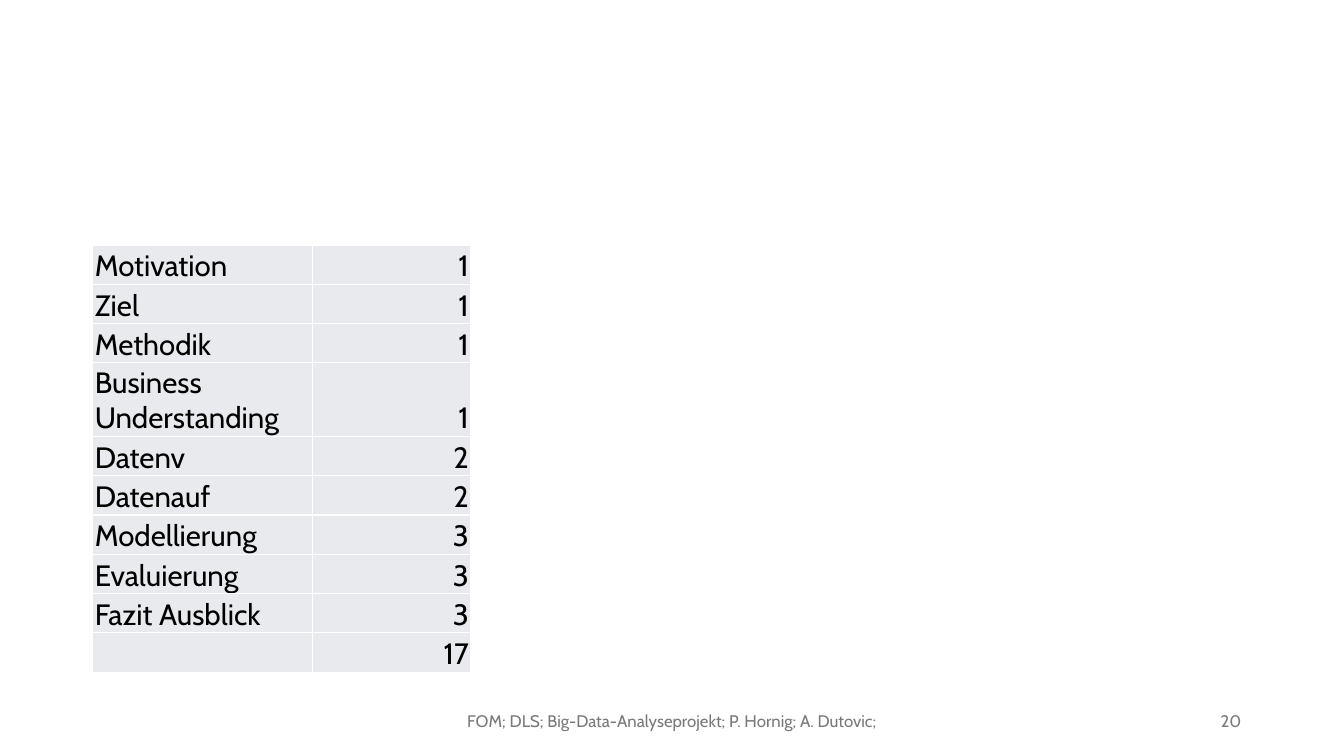
"""Build the slide that plans how many slides each project chapter gets."""
from lxml import etree
from pptx import Presentation
from pptx.dml.color import RGBColor
from pptx.enum.text import MSO_ANCHOR, PP_ALIGN
from pptx.oxml.ns import qn
from pptx.util import Inches, Pt

LEFT, CENTER, RIGHT = PP_ALIGN.LEFT, PP_ALIGN.CENTER, PP_ALIGN.RIGHT
BOTTOM, MIDDLE = MSO_ANCHOR.BOTTOM, MSO_ANCHOR.MIDDLE

BLACK = RGBColor(0x00, 0x00, 0x00)
WHITE = RGBColor(0xFF, 0xFF, 0xFF)
GREY = RGBColor(0x79, 0x79, 0x79)
CELL_GREY = RGBColor(0xE8, 0xEA, 0xED)

FONT = "Cabin"
SLIDE_WIDTH, SLIDE_HEIGHT = 13.33, 7.5
MARGIN = 0.92
TABLE_TOP = 2.43
COLUMN_WIDTHS = (2.18, 1.57)
ROW_HEIGHT = 0.39
CELL_INSET = 0.02
FOOTER_TOP, FOOTER_HEIGHT = 6.95, 0.4
FOOTER_WIDTH, NUMBER_WIDTH = 4.5, 3

CHAPTERS = (
    ("Motivation", 1),
    ("Ziel", 1),
    ("Methodik", 1),
    ("Business Understanding", 1),
    ("Datenv", 2),
    ("Datenauf", 2),
    ("Modellierung", 3),
    ("Evaluierung", 3),
    ("Fazit Ausblick", 3),
)


def write_text(text_frame, text, size, color, alignment):
    """Write one run into the first paragraph of a text frame."""
    paragraph = text_frame.paragraphs[0]
    paragraph.alignment = alignment
    run = paragraph.add_run()
    run.text = text
    run.font.name = FONT
    run.font.size = Pt(size)
    run.font.color.rgb = color


def add_borders(cell):
    """Draw a thin white line on each side of a table cell."""
    properties = cell._tc.get_or_add_tcPr()
    for side in ("a:lnL", "a:lnR", "a:lnT", "a:lnB"):
        line = etree.SubElement(properties, qn(side), w=str(Pt(1)))
        fill = etree.SubElement(line, qn("a:solidFill"))
        etree.SubElement(fill, qn("a:srgbClr"), val=str(WHITE))


def format_cell(cell):
    """Set the borders, fill, insets and anchor of a table cell."""
    add_borders(cell)
    cell.fill.solid()
    cell.fill.fore_color.rgb = CELL_GREY
    cell.margin_left = cell.margin_right = cell.margin_top = Inches(CELL_INSET)
    cell.margin_bottom = 0
    cell.vertical_anchor = BOTTOM


def add_chapter_table(slide):
    """Add the chapters with their slide counts and the total."""
    total = sum(count for _, count in CHAPTERS)
    rows = CHAPTERS + (("", total),)
    frame = slide.shapes.add_table(
        len(rows), len(COLUMN_WIDTHS), Inches(MARGIN), Inches(TABLE_TOP),
        Inches(sum(COLUMN_WIDTHS)), Inches(ROW_HEIGHT * len(rows)))
    table = frame.table
    table.first_row = table.horz_banding = False
    for column, width in zip(table.columns, COLUMN_WIDTHS):
        column.width = Inches(width)
    for row, values in zip(table.rows, rows):
        row.height = Inches(ROW_HEIGHT)
        for cell, value, alignment in zip(row.cells, values, (LEFT, RIGHT)):
            format_cell(cell)
            if value:
                write_text(cell.text_frame, str(value), 21, BLACK, alignment)


def add_footer_text(slide, text, left, width, alignment):
    """Add a grey text box in the footer row."""
    box = slide.shapes.add_textbox(
        Inches(left), Inches(FOOTER_TOP), Inches(width), Inches(FOOTER_HEIGHT))
    box.text_frame.word_wrap = True
    box.text_frame.vertical_anchor = MIDDLE
    write_text(box.text_frame, text, 12, GREY, alignment)


def main():
    """Create the presentation and save it."""
    presentation = Presentation()
    presentation.slide_width = Inches(SLIDE_WIDTH)
    presentation.slide_height = Inches(SLIDE_HEIGHT)
    slide = presentation.slides.add_slide(presentation.slide_layouts[6])
    add_chapter_table(slide)
    add_footer_text(
        slide, "FOM; DLS; Big-Data-Analyseprojekt; P. Hornig; A. Dutovic;",
        (SLIDE_WIDTH - FOOTER_WIDTH) / 2, FOOTER_WIDTH, CENTER)
    add_footer_text(
        slide, "20", SLIDE_WIDTH - MARGIN - NUMBER_WIDTH, NUMBER_WIDTH, RIGHT)
    presentation.save("out.pptx")


if __name__ == "__main__":
    main()
